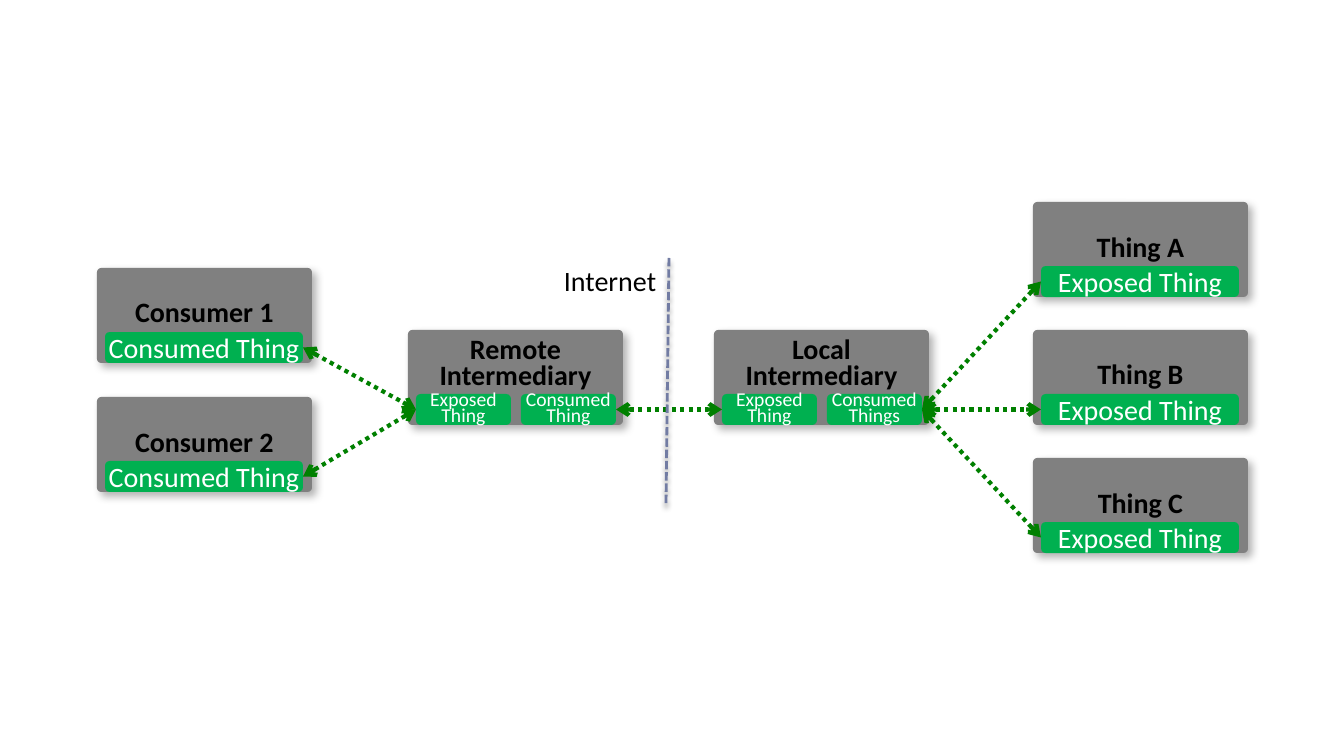
from lxml.etree import SubElement
from pptx import Presentation
from pptx.dml.color import RGBColor
from pptx.enum.dml import MSO_LINE_DASH_STYLE as Dash
from pptx.enum.shapes import MSO_CONNECTOR as Connector, MSO_SHAPE as Shape
from pptx.enum.text import MSO_ANCHOR as Anchor, PP_ALIGN as Align
from pptx.oxml.ns import qn
from pptx.util import Pt

WIDTH, HEIGHT = 1344, 756
EMU_PER_PIXEL = 12192000 / WIDTH
CARD_WIDTH, CARD_HEIGHT = 215, 95
TAG_HEIGHT, TAG_TOP, TAG_INSET = 31, 64, 8
WIDE_TAG, NARROW_TAG, TAG_STEP = 198, 95, 105
CARD_GREY, TAG_GREEN, LINK_GREEN = "808080", "00B050", "008000"
LEFT_SITE, RIGHT_SITE = 1, 3


def px(*lengths):
    """Turn pixel lengths into a list of EMU."""
    return [round(length * EMU_PER_PIXEL) for length in lengths]


def color(value):
    """Return the colour for a hex string."""
    return RGBColor.from_string(value)


def write(shape, text, size=20, ink="000000", bold=False, align=Align.CENTER,
          spacing=None, anchor=Anchor.MIDDLE):
    """Write each line of text as a formatted paragraph."""
    frame = shape.text_frame
    frame.word_wrap = False
    frame.vertical_anchor = anchor
    frame.text = text
    for paragraph in frame.paragraphs:
        paragraph.alignment = align
        paragraph.line_spacing = spacing
        font = paragraph.font
        font.name, font.size, font.bold = "Calibri", Pt(size), bold
        font.color.rgb = color(ink)


def add_shadow(shape, alpha, blur, distance, angle):
    """Give a shape a soft black outer shadow."""
    shape_properties = shape._element.spPr
    effects = shape_properties.find(qn("a:effectLst"))
    if effects is None:
        effects = SubElement(shape_properties, qn("a:effectLst"))
    shadow = SubElement(effects, qn("a:outerShdw"), blurRad=str(Pt(blur)),
                        dist=str(Pt(distance)), dir=str(angle * 60000),
                        algn="ctr", rotWithShape="0")
    black = SubElement(shadow, qn("a:srgbClr"), val="000000")
    SubElement(black, qn("a:alpha"), val=str(alpha * 1000))


def add_rounded(slide, left, top, width, height, fill, rounding):
    """Add a plain rounded rectangle."""
    box = slide.shapes.add_shape(Shape.ROUNDED_RECTANGLE,
                                 *px(left, top, width, height))
    box.adjustments[0] = rounding
    box.shadow.inherit = False
    box.fill.solid()
    box.fill.fore_color.rgb = color(fill)
    box.line.fill.background()
    return box


def add_card(slide, left, top, label, tag_labels):
    """Add a titled card and return its green tags."""
    card = add_rounded(slide, left, top, CARD_WIDTH, CARD_HEIGHT, CARD_GREY, 0.045)
    add_shadow(card, 30, 6, 4, 45)
    narrow = len(tag_labels) > 1
    frame = card.text_frame
    frame.margin_left = frame.margin_right = frame.margin_top = 0
    frame.margin_bottom = px(25 if narrow else 0)[0]
    write(card, label, bold=True, spacing=0.75)
    tags = []
    for index, tag_label in enumerate(tag_labels):
        tag = add_rounded(slide, left + TAG_INSET + index * TAG_STEP, top + TAG_TOP,
                          NARROW_TAG if narrow else WIDE_TAG, TAG_HEIGHT,
                          TAG_GREEN, 0.15)
        write(tag, tag_label, size=14 if narrow else 20, ink="FFFFFF",
              spacing=0.7 if narrow else None)
        tags.append(tag)
    return tags


def add_line(slide, ends, stroke, width, dash):
    """Add a dashed straight line without the theme shadow."""
    line = slide.shapes.add_connector(Connector.STRAIGHT, *px(*ends))
    line.line.color.rgb = color(stroke)
    line.line.width = Pt(width)
    line.line.dash_style = dash
    SubElement(line._element.spPr, qn("a:effectLst"))
    return line


def link(slide, source, target):
    """Join two tags with a dotted double arrow."""
    arrow = add_line(slide, (0, 0, 0, 0), LINK_GREEN, 3, Dash.ROUND_DOT)
    arrow.begin_connect(source, RIGHT_SITE)
    arrow.end_connect(target, LEFT_SITE)
    outline = arrow.line._get_or_add_ln()
    for end in ("a:headEnd", "a:tailEnd"):
        SubElement(outline, qn(end), type="arrow")


def main():
    """Build the slide and save it."""
    deck = Presentation()
    deck.slide_width, deck.slide_height = px(WIDTH, HEIGHT)
    slide = deck.slides.add_slide(deck.slide_layouts[6])

    consumers = [add_card(slide, 97, top, f"Consumer {number}", ["Consumed Thing"])[0]
                 for number, top in ((1, 268), (2, 397))]
    remote_exposed, remote_consumed = add_card(
        slide, 408, 330, "Remote\nIntermediary", ["Exposed\nThing", "Consumed\nThing"])
    local_exposed, local_consumed = add_card(
        slide, 714, 330, "Local\nIntermediary", ["Exposed\nThing", "Consumed\nThings"])
    things = [add_card(slide, 1033, 202 + row * 128, f"Thing {letter}",
                       ["Exposed Thing"])[0]
              for row, letter in enumerate("ABC")]

    for consumer in consumers:
        link(slide, consumer, remote_exposed)
    link(slide, remote_consumed, local_exposed)
    for thing in things:
        link(slide, local_consumed, thing)

    boundary = add_line(slide, (669, 258, 666, 505), "727CA3", 2, Dash.SQUARE_DOT)
    boundary.line.dash_style = Dash.DASH
    boundary.line._get_or_add_ln().find(qn("a:prstDash")).set("val", "sysDash")
    add_shadow(boundary, 40, 4, 3.4, 90)
    internet = slide.shapes.add_textbox(*px(554, 259, 114, 44))
    write(internet, "Internet", align=Align.LEFT, anchor=Anchor.TOP)

    deck.save("out.pptx")


main()
